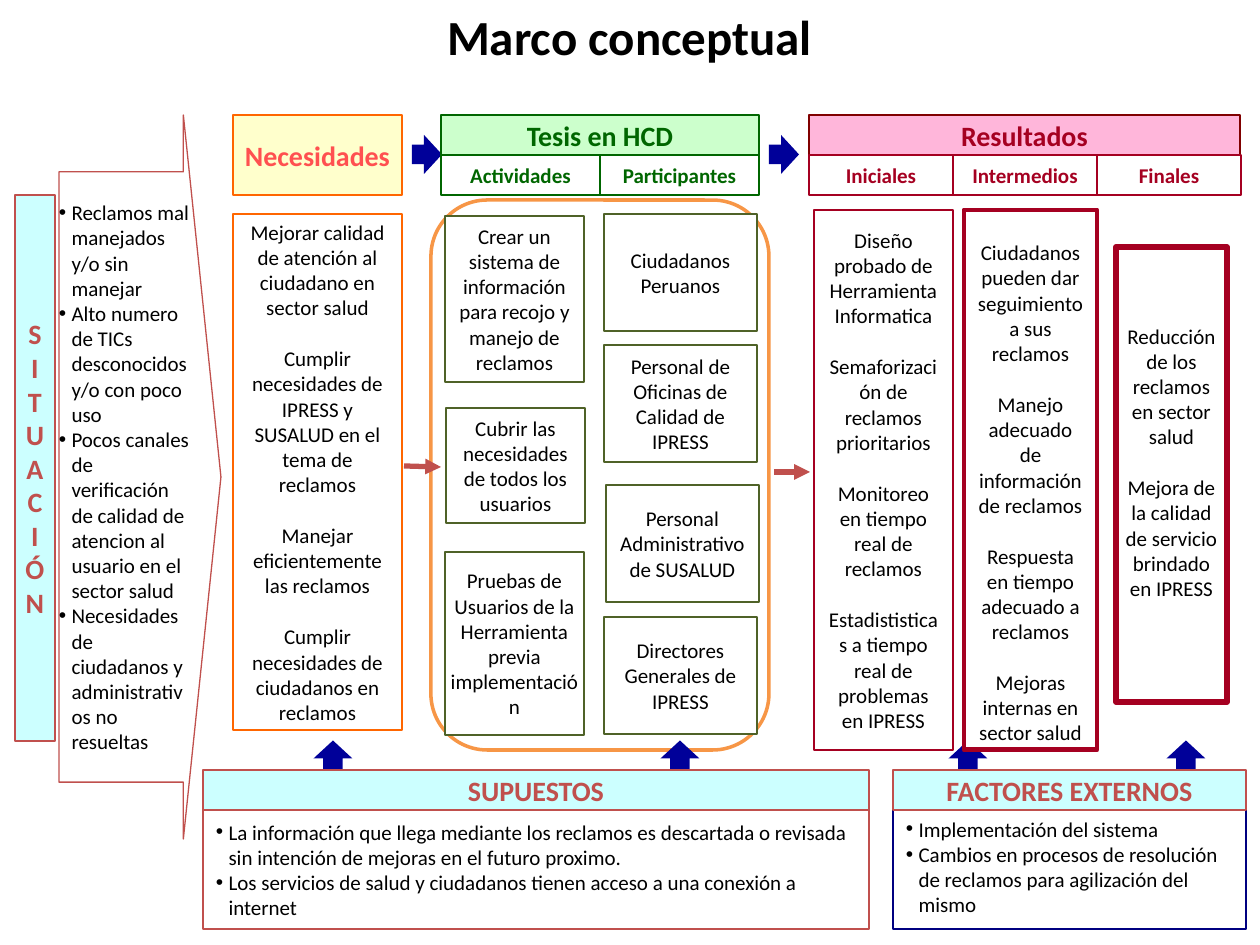
from dataclasses import dataclass

from pptx import Presentation
from pptx.dml import color
from pptx.enum import shapes, text
from pptx.oxml import ns
from pptx.util import Emu, Pt
from lxml import etree

EMU_PER_PX = 914400 / 126


@dataclass(frozen=True)
class Theme:
    font: str = "Calibri"
    title: int = 28
    heading: int = 16
    body: int = 12
    gap: float = 14.65
    black: str = "000000"
    white: str = "FFFFFF"
    brick: str = "C0504D"
    aqua: str = "CCFFFF"
    navy: str = "000080"
    arrow: str = "000099"
    orange: str = "FF6600"
    frame: str = "F79646"
    cream: str = "FFFFCC"
    coral: str = "FF5050"
    green: str = "006600"
    mint: str = "CCFFCC"
    olive: str = "4F6228"
    crimson: str = "A50021"
    maroon: str = "800000"
    pink: str = "FF99CC"


T = Theme()


@dataclass(frozen=True)
class Box:
    at: tuple[int, int, int, int]
    lines: tuple[str, ...] = ()
    fill: str = T.white
    line: str = T.brick
    weight: float = 0.75
    color: str = T.black
    size: int = T.body
    bold: bool = False
    wrap: bool = True
    bullets: bool = False
    gap: float = 0
    top: bool = False
    alpha: int = 100
    insets: tuple[int, int, int, int] = (13, 6, 13, 6)
    kind: shapes.MSO_SHAPE = shapes.MSO_SHAPE.RECTANGLE
    adjust: tuple[float, ...] = ()


def px(n: float) -> Emu:
    return Emu(round(n * EMU_PER_PX))


def rgb(value: str) -> color.RGBColor:
    return color.RGBColor.from_string(value)


def format_runs(p, size: int, ink: str, bold: bool) -> None:
    for r in p.runs:
        r.font.name = T.font
        r.font.size = Pt(size)
        r.font.bold = bold
        r.font.color.rgb = rgb(ink)


def add_bullet(p) -> None:
    ppr = p._p.get_or_add_pPr()
    ppr.set("marL", str(px(12.6)))
    ppr.set("indent", str(px(-12.6)))
    etree.SubElement(ppr, ns.qn("a:buFont"), typeface="Arial")
    etree.SubElement(ppr, ns.qn("a:buChar"), char="•")


def draw_box(s, box: Box) -> None:
    sp = s.shapes.add_shape(box.kind, *map(px, box.at))
    sp.shadow.inherit = False
    for i, value in enumerate(box.adjust):
        sp.adjustments[i] = value
    sp.fill.solid()
    sp.fill.fore_color.rgb = rgb(box.fill)
    if box.alpha < 100:
        clr = sp._element.spPr.find(ns.qn("a:solidFill"))[0]
        etree.SubElement(clr, ns.qn("a:alpha"), val=str(box.alpha * 1000))
    sp.line.color.rgb = rgb(box.line)
    sp.line.width = Pt(box.weight)
    if not box.lines:
        return
    tf = sp.text_frame
    tf.word_wrap = box.wrap
    tf.vertical_anchor = text.MSO_ANCHOR.TOP if box.top else text.MSO_ANCHOR.MIDDLE
    tf.margin_left, tf.margin_top, tf.margin_right, tf.margin_bottom = map(px, box.insets)
    tf.text = "\n".join(box.lines)
    for i, p in enumerate(tf.paragraphs):
        p.alignment = text.PP_ALIGN.LEFT if box.bullets else text.PP_ALIGN.CENTER
        if box.gap and i:
            p.space_before = Pt(box.gap)
        if box.bullets:
            add_bullet(p)
        format_runs(p, box.size, box.color, box.bold)


def heading(at, label: str, fill: str, line: str, ink: str, size: int = T.heading, alpha: int = 100) -> Box:
    return Box(at, tuple(label.split("\n")), fill, line, color=ink, size=size, bold=True, wrap=False, alpha=alpha)


def card(at, label: str) -> Box:
    return Box(at, (label,), line=T.olive, insets=(5, 5, 5, 5))


def block_arrow(s, x: int, y: int, rotation: int = 0) -> None:
    sp = s.shapes.add_shape(shapes.MSO_SHAPE.RIGHT_ARROW, px(x), px(y), px(30), px(39))
    sp.shadow.inherit = False
    sp.adjustments[0], sp.adjustments[1] = 0.5, 0.6
    sp.rotation = rotation
    sp.fill.solid()
    sp.fill.fore_color.rgb = rgb(T.arrow)
    sp.line.fill.background()


def thin_arrow(s, x1: int, y1: int, x2: int, y2: int) -> None:
    c = s.shapes.add_connector(shapes.MSO_CONNECTOR.STRAIGHT, px(x1), px(y1), px(x2), px(y2))
    c.line.color.rgb = rgb(T.brick)
    c.line.width = Pt(3)
    etree.SubElement(c.line._get_or_add_ln(), ns.qn("a:tailEnd"), type="triangle")
    etree.SubElement(c._element.spPr, ns.qn("a:effectLst"))


def draw_title(s, label: str) -> None:
    sp = s.shapes.title
    sp.left, sp.top, sp.width, sp.height = map(px, (74, 0, 1111, 72))
    tf = sp.text_frame
    tf.text = label
    tf.auto_size = text.MSO_AUTO_SIZE.NONE
    tf.vertical_anchor = text.MSO_ANCHOR.TOP
    p = tf.paragraphs[0]
    p.alignment = text.PP_ALIGN.CENTER
    format_runs(p, T.title, T.black, True)


SITUATION = (
    Box((59, 115, 162, 724), (
        "Reclamos mal manejados y/o sin manejar",
        "Alto numero de TICs desconocidos y/o con poco uso",
        "Pocos canales de verificación de calidad de atencion al usuario en el sector salud",
        "Necesidades de ciudadanos y administrativos no resueltas",
    ), bullets=True, insets=(0, 0, 0, 0), kind=shapes.MSO_SHAPE.RIGHT_ARROW, adjust=(0.843, 0.232)),
    heading((15, 195, 40, 546), "\n".join("SITUACIÓN"), T.aqua, T.brick, T.brick),
)

FOOTERS = (
    Box((203, 810, 666, 119), (
        "La información que llega mediante los reclamos es descartada o revisada sin intención de mejoras "
        "en el futuro proximo.",
        "Los servicios de salud y ciudadanos tienen acceso a una conexión a internet",
    ), bullets=True),
    heading((203, 770, 666, 40), "SUPUESTOS", T.aqua, T.brick, T.brick),
    Box((893, 810, 353, 119), (
        "Implementación del sistema",
        "Cambios en procesos de resolución de reclamos para agilización del mismo",
    ), line=T.navy, bullets=True, top=True),
    heading((893, 770, 353, 40), "FACTORES EXTERNOS", T.aqua, T.brick, T.brick),
)

HEADINGS = (
    heading((233, 115, 169, 80), "Necesidades", T.cream, T.orange, T.coral),
    heading((441, 115, 318, 40), "Tesis en HCD", T.mint, T.green, T.green),
    *(heading((441 + 159 * i, 155, 159, 40), label, T.white, T.green, T.green, T.body)
      for i, label in enumerate(("Actividades", "Participantes"))),
    heading((809, 115, 431, 40), "Resultados", T.pink, T.maroon, T.crimson, alpha=71),
    *(heading((809 + 144 * i, 155, 144, 40), label, T.white, T.crimson, T.crimson, T.body)
      for i, label in enumerate(("Iniciales", "Intermedios", "Finales"))),
)

COLUMNS = (
    Box((233, 214, 169, 516), (
        "Mejorar calidad de atención al ciudadano en sector salud",
        "Cumplir necesidades de IPRESS y SUSALUD en el tema de reclamos",
        "Manejar eficientemente las reclamos",
        "Cumplir necesidades de ciudadanos en reclamos",
    ), line=T.orange, gap=T.gap),
    Box((814, 210, 139, 540), (
        "Diseño probado de Herramienta Informatica",
        "Semaforización de reclamos prioritarios",
        "Monitoreo en tiempo real de reclamos",
        "Estadististicas a tiempo real de problemas en IPRESS",
    ), line=T.crimson, weight=1.5, gap=T.gap),
    Box((964, 210, 133, 540), (
        "Ciudadanos pueden dar seguimiento a sus reclamos",
        "Manejo adecuado de información de reclamos",
        "Respuesta en tiempo adecuado a reclamos",
        "Mejoras internas en sector salud",
    ), line=T.crimson, weight=2.75, gap=T.gap, insets=(13, 31, 13, 6)),
    Box((1116, 247, 111, 455), (
        "Reducción de los reclamos en sector salud",
        "Mejora de la calidad de servicio brindado en IPRESS",
    ), line=T.crimson, weight=3.25, gap=T.gap, insets=(5, 5, 5, 30)),
)

CARDS = (
    card((445, 216, 139, 166), "Crear un sistema de información para recojo y manejo de reclamos"),
    card((446, 408, 139, 115), "Cubrir las necesidades de todos los usuarios"),
    card((445, 552, 139, 183), "Pruebas de Usuarios de la Herramienta previa implementación"),
    card((604, 214, 153, 117), "Ciudadanos Peruanos"),
    card((604, 345, 153, 117), "Personal de Oficinas de Calidad de IPRESS"),
    card((606, 485, 153, 117), "Personal Administrativo de SUSALUD"),
    card((604, 617, 153, 117), "Directores Generales de IPRESS"),
)

prs = Presentation()
prs.slide_width, prs.slide_height = px(1260), px(945)
s = prs.slides.add_slide(prs.slide_layouts[5])
draw_title(s, "Marco conceptual")
draw_box(s, Box((431, 200, 338, 550), line=T.frame, weight=2, kind=shapes.MSO_SHAPE.ROUNDED_RECTANGLE))
for x in (412, 769):
    block_arrow(s, x, 135)
for x in (318, 665, 953, 1171):
    block_arrow(s, x, 736, 270)
for box in SITUATION + FOOTERS + HEADINGS + COLUMNS + CARDS:
    draw_box(s, box)
thin_arrow(s, 404, 466, 441, 467)
thin_arrow(s, 774, 472, 810, 472)
prs.save("out.pptx")
